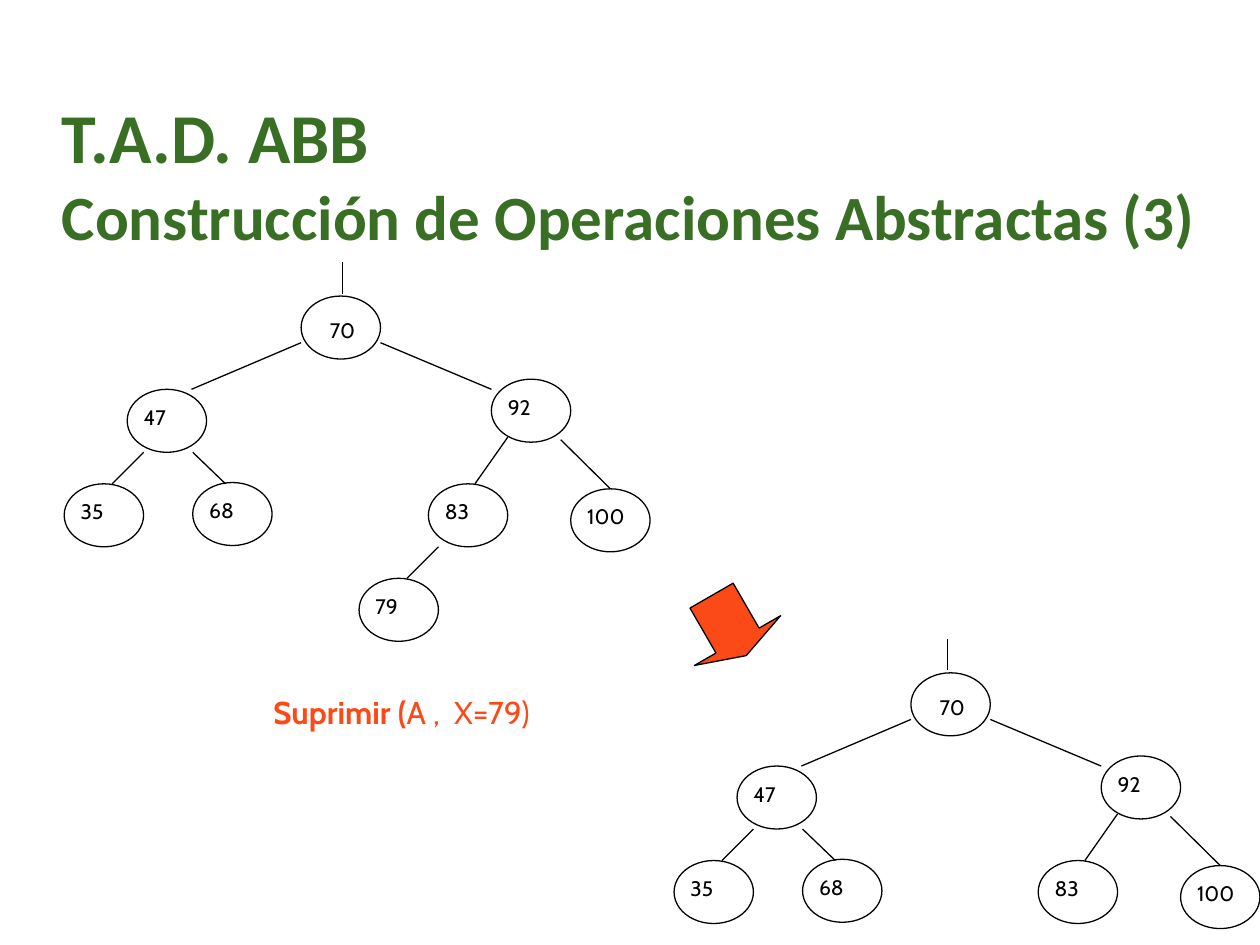
from typing import NamedTuple

from pptx import Presentation, util as u
from pptx.dml.color import RGBColor
from pptx.enum import shapes, text
from pptx.oxml import parse_xml
from pptx.oxml.ns import nsdecls

GREEN, ORANGE, BLACK = "386F24", "FB4A18", "000000"
NODE_W, NODE_H = 0.63, 0.5


class Node(NamedTuple):
    key: str
    x: float
    y: float


class Edge(NamedTuple):
    x1: float
    y1: float
    x2: float
    y2: float
    child: str


ROOT = "70"
NODES = [
    Node(ROOT, 2.39, 2.35), Node("47", 1.01, 3.09), Node("35", 0.51, 3.84),
    Node("92", 3.9, 3.01), Node("68", 1.53, 3.83), Node("79", 2.85, 4.59),
    Node("83", 3.4, 3.84), Node("100", 4.53, 3.88),
]
EDGES = [
    Edge(2.39, 2.72, 1.52, 3.09, "47"), Edge(3.02, 2.72, 3.9, 3.09, "92"),
    Edge(1.14, 3.59, 0.89, 3.84, "35"), Edge(1.53, 3.59, 1.79, 3.84, "68"),
    Edge(4.03, 3.47, 3.77, 3.84, "83"), Edge(3.48, 4.34, 3.23, 4.59, "79"),
    Edge(4.45, 3.49, 4.84, 3.88, "100"),
]


def color(value: str) -> RGBColor:
    return RGBColor.from_string(value)


def add_run(p, content: str, size: float, font: str, fill: str, bold: bool = False):
    r = p.add_run()
    r.text = content
    r.font.size = u.Pt(size)
    r.font.name = font
    r.font.bold = bold
    r.font.color.rgb = color(fill)
    return r


def set_frame(tf, dx: float = 0, dy: float = 0):
    tf.word_wrap = True
    tf.auto_size = text.MSO_AUTO_SIZE.NONE
    tf.vertical_anchor = text.MSO_ANCHOR.TOP
    tf.margin_left = tf.margin_right = u.Inches(dx)
    tf.margin_top = tf.margin_bottom = u.Inches(dy)
    return tf.paragraphs[0]


def outline(line) -> None:
    line.color.rgb = color(BLACK)
    line.width = u.Pt(0.75)


def draw_line(parent, x1: float, y1: float, x2: float, y2: float):
    points = [u.Inches(v) for v in (x1, y1, x2, y2)]
    c = parent.add_connector(shapes.MSO_CONNECTOR.STRAIGHT, *points)
    outline(c.line)
    c._element.spPr.append(parse_xml(f"<a:effectLst {nsdecls('a')}/>"))
    return c


def draw_node(parent, node: Node, dx: float, dy: float):
    x, y = node.x + dx, node.y + dy
    sp = parent.add_shape(shapes.MSO_SHAPE.OVAL, u.Inches(x), u.Inches(y),
                          u.Inches(NODE_W), u.Inches(NODE_H))
    sp.shadow.inherit = False
    sp.fill.background()
    outline(sp.line)
    is_root = node.key == ROOT
    label = parent.add_textbox(u.Inches(x + 0.13), u.Inches(y + 0.12),
                               u.Inches(0.46 if is_root else 0.38), u.Inches(0.25))
    insets = (0.1, 0.05) if is_root else (0, 0)
    p = set_frame(label.text_frame, *insets)
    add_run(p, node.key, 12, "Cabin", BLACK)
    return sp


def draw_tree(s, dx: float, dy: float, removed: str = "") -> None:
    group = s.shapes.add_group_shape().shapes
    ovals = {n.key: draw_node(group, n, dx, dy) for n in NODES if n.key != removed}
    for e in EDGES:
        if e.child == removed:
            continue
        c = draw_line(group, e.x1 + dx, e.y1 + dy, e.x2 + dx, e.y2 + dy)
        if e.child == "100":
            c.end_connect(ovals[e.child], 0)


def draw_title(s) -> None:
    sp = s.shapes.title
    sp.left, sp.top, sp.width, sp.height = (u.Inches(v) for v in (0.49, 0.74, 9.2, 1.28))
    p = set_frame(sp.text_frame)
    p.alignment = text.PP_ALIGN.LEFT
    add_run(p, "T.A.D. ABB", 40, "Calibri", GREEN, True)
    p.add_line_break()
    add_run(p, "Construcción de Operaciones Abstractas (3)", 36, "Calibri", GREEN, True)


def draw_operation(s) -> None:
    box = s.shapes.add_textbox(u.Inches(2.17), u.Inches(5.5), u.Inches(2.6), u.Inches(0.3))
    p = set_frame(box.text_frame)
    add_run(p, "Suprimir (", 18, "Cabin", ORANGE, True)
    add_run(p, "A ,  X=79)", 18, "Cabin", ORANGE)


def draw_arrow(s) -> None:
    sp = s.shapes.add_shape(shapes.MSO_SHAPE.DOWN_ARROW, u.Inches(5.39), u.Inches(4.69),
                            u.Inches(0.79), u.Inches(0.55))
    sp.adjustments[0], sp.adjustments[1] = 0.5, 0.25
    sp.rotation = 330
    sp.shadow.inherit = False
    sp.fill.solid()
    sp.fill.fore_color.rgb = color(ORANGE)
    outline(sp.line)


def main() -> None:
    prs = Presentation()
    prs.slide_width, prs.slide_height = u.Inches(10), u.Inches(7.5)
    s = prs.slides.add_slide(prs.slide_layouts[5])
    draw_title(s)
    draw_operation(s)
    draw_line(s.shapes, 2.72, 2.33, 2.72, 2.08)
    draw_tree(s, 0, 0)
    draw_tree(s, 4.84, 2.99, removed="79")
    draw_arrow(s)
    draw_line(s.shapes, 7.52, 5.32, 7.52, 5.07)
    prs.save("out.pptx")


if __name__ == "__main__":
    main()
